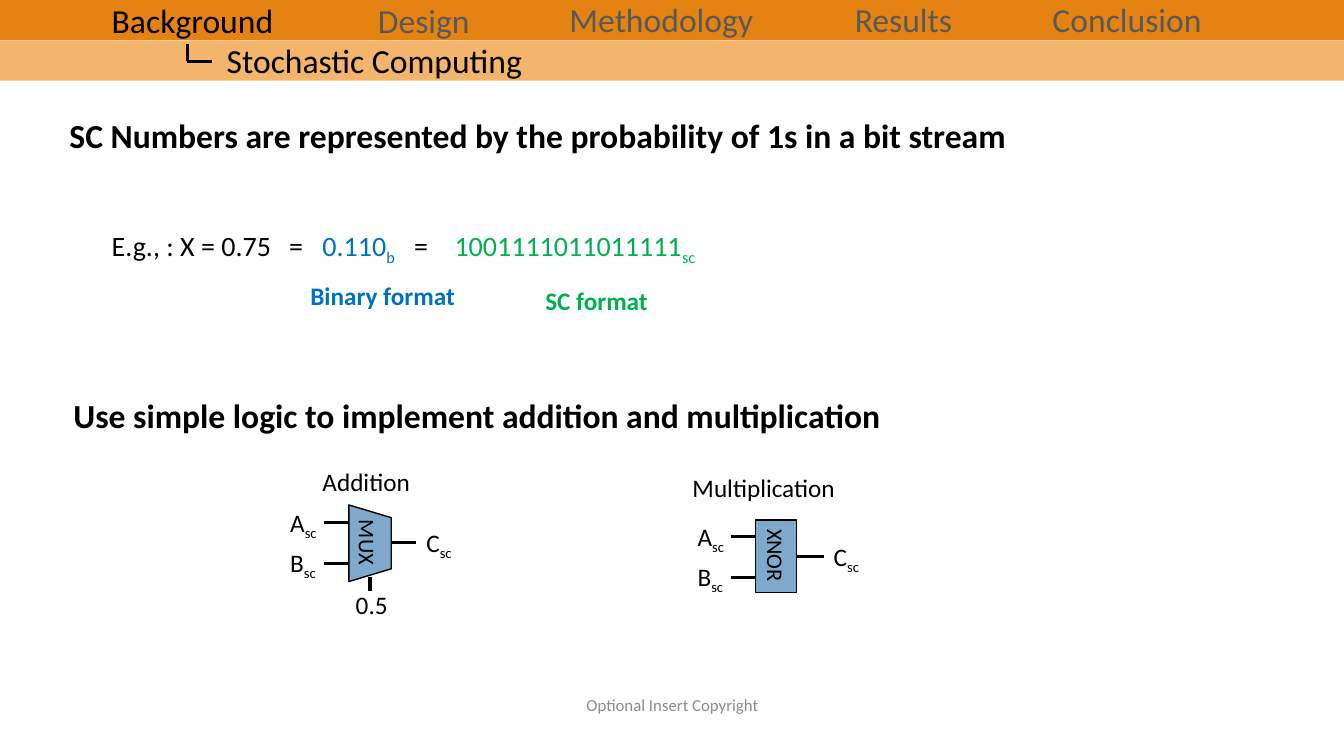
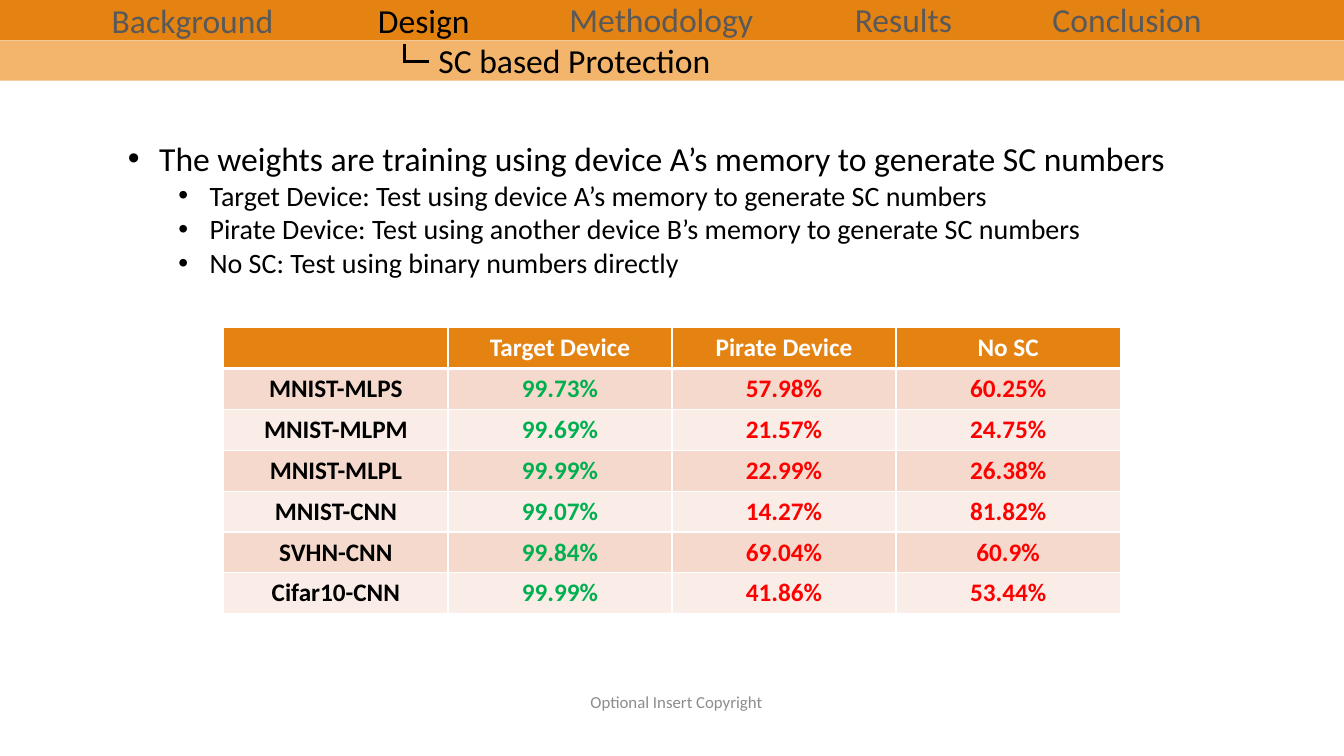
from lxml.etree import SubElement
from pptx import Presentation
from pptx.dml.color import RGBColor
from pptx.enum.shapes import MSO_CONNECTOR as CONN, MSO_SHAPE as SHAPE
from pptx.enum.text import MSO_ANCHOR as ANCHOR, PP_ALIGN as ALIGN
from pptx.oxml.ns import qn
from pptx.util import Inches, Pt

rgb = RGBColor.from_string
ORANGE, PALE_ORANGE, STEEL = "E48312", "F3B56C", "7EA9CA"
BLACK, WHITE, GREY, FOOTER_GREY = "000000", "FFFFFF", "595959", "8C8C8C"
BLUE, GREEN, RED = "0070C0", "00B050", "FF0000"
ROW_FILLS = ["FAEDE7", "F5D9CC"]
SUB = {"baseline": "-25000"}


def write(p, runs, **fmt):
    if isinstance(runs, str):
        runs = [(runs, {})]
    for words, extra in runs:
        r = p.add_run()
        r.text = words
        for key, value in {"name": "Calibri", "color": BLACK, **fmt, **extra}.items():
            if key == "color":
                r.font.color.rgb = rgb(value)
            elif key == "baseline":
                r._r.get_or_add_rPr().set(key, value)
            elif key == "size":
                r.font.size = Pt(value)
            else:
                setattr(r.font, key, value)


def text(s, box, runs, rotation=0, **fmt):
    sp = s.shapes.add_textbox(*map(Inches, box))
    sp.rotation = rotation
    sp.text_frame.word_wrap = False
    write(sp.text_frame.paragraphs[0], runs, **fmt)
    return sp


prs = Presentation()
prs.slide_width, prs.slide_height = Inches(13.33), Inches(7.5)

sections = [
    ("Background", 1.01, -0.05, 1.86),
    ("Design", 3.65, -0.05, 1.12),
    ("Methodology", 5.55, -0.06, 2.04),
    ("Results", 8.38, -0.06, 1.18),
    ("Conclusion", 10.34, -0.06, 1.69),
]
topics = [
    ("Background", "Stochastic Computing", 1.86, 2.15, 3.22, (4.42, 6.79)),
    ("Design", "SC based Protection", 4.01, 4.25, 2.93, (4.46, 6.76)),
]
lines = []
for current, topic, elbow_x, topic_x, topic_w, footer_at in topics:
    s = prs.slides.add_slide(prs.slide_layouts[6])
    for top, color in [(0, ORANGE), (0.4, PALE_ORANGE)]:
        band = s.shapes.add_shape(SHAPE.RECTANGLE, 0, Inches(top), prs.slide_width, Inches(0.4))
        band.shadow.inherit = False
        band.fill.solid()
        band.fill.fore_color.rgb = rgb(color)
        band.line.fill.background()
    for name, x, y, w in sections:
        text(s, (x, y, w, 0.5), name, size=24, color=BLACK if name == current else GREY)
    text(s, (topic_x, 0.35, topic_w, 0.5), topic, size=24)
    lines += [
        (s, elbow_x, 0.44, elbow_x, 0.61, None),
        (s, elbow_x - 0.01, 0.61, elbow_x + 0.24, 0.61, None),
    ]
    footer = text(s, (*footer_at, 4.5, 0.4), "Optional Insert Copyright", size=12, color=FOOTER_GREY)
    footer.text_frame.word_wrap = True
    footer.text_frame.vertical_anchor = ANCHOR.MIDDLE
    footer.text_frame.paragraphs[0].alignment = ALIGN.CENTER

s = prs.slides[0]
for box, words, fmt in [
    ((0.59, 1.09, 9.51, 0.5), "SC Numbers are represented by the probability of 1s in a bit stream",
     {"size": 24, "bold": True}),
    ((0.63, 3.87, 8.29, 0.5), "Use simple logic to implement addition and multiplication",
     {"size": 24, "bold": True}),
    ((2.98, 2.73, 1.65, 0.4), "Binary format", {"size": 18, "bold": True, "color": BLUE}),
    ((5.31, 2.78, 1.23, 0.4), "SC format", {"size": 18, "bold": True, "color": GREEN}),
    ((3.1, 4.58, 1.08, 0.4), "Addition", {"size": 18}),
    ((6.77, 4.64, 1.63, 0.4), "Multiplication", {"size": 18}),
    ((3.43, 5.8, 0.52, 0.4), "0.5", {"size": 18}),
]:
    text(s, box, words, **fmt)

example = text(s, (1.01, 2.22, 6.05, 0.44), [
    ("E.g., : X = 0.75\t=\t", {}),
    ("0.110", {"color": BLUE}),
    ("b", {"color": BLUE, **SUB}),
    ("\t=\t", {}),
    ("1001111011011111", {"color": GREEN}),
    ("sc", {"color": GREEN, **SUB}),
], size=20)
example.text_frame.word_wrap = True
tabs = SubElement(example.text_frame.paragraphs[0]._p.get_or_add_pPr(), qn("a:tabLst"))
for stop in (1.76, 2.09, 3.0, 3.4):
    SubElement(tabs, qn("a:tab"), pos=str(Inches(stop)), algn="l")

gates = [
    ("MUX", 2.78, 4.98, SHAPE.TRAPEZOID, (3.29, 5.18, 0.76, 0.42), 90, (3.32, 5.2, 0.65, 0.37)),
    ("XNOR", 6.82, 5.12, SHAPE.RECTANGLE, (7.49, 5.16, 0.41, 0.72), 0, (7.33, 5.33, 0.73, 0.37)),
]
for name, x, y, kind, box, rotation, label_box in gates:
    gate = s.shapes.add_shape(kind, *map(Inches, box))
    gate.rotation = rotation
    gate.shadow.inherit = False
    gate.fill.solid()
    gate.fill.fore_color.rgb = rgb(STEEL)
    gate.line.color.rgb = rgb(BLACK)
    gate.line.width = Pt(1)
    if kind == SHAPE.TRAPEZOID:
        gate.adjustments[0] = 0.3
    text(s, label_box, name, rotation=90, size=16)
    for letter, dx, dy in [("A", 0, 0), ("B", 0, 0.4), ("C", 1.35, 0.2)]:
        text(s, (x + dx, y + dy, 0.49, 0.4), [(letter, {}), ("sc", SUB)], size=18)
    source = gate if kind == SHAPE.RECTANGLE else None
    for x1, x2, dy, start in [(0.43, 0.68, 0.2, None), (0.43, 0.68, 0.61, None), (1.1, 1.35, 0.4, source)]:
        lines.append((s, x + x1, y + dy, x + x2, y + dy, start))
lines.append((s, 3.67, 5.72, 3.67, 5.86, None))

for s, x1, y1, x2, y2, start in lines:
    line = s.shapes.add_connector(CONN.STRAIGHT, *map(Inches, (x1, y1, x2, y2)))
    line.line.color.rgb = rgb(BLACK)
    line.line.width = Pt(2.25)
    SubElement(line._element.spPr, qn("a:effectLst"))
    if start is not None:
        line.begin_connect(start, 3)

s = prs.slides[1]
tf = s.shapes.add_textbox(*map(Inches, (1.17, 1.32, 10.59, 1.51))).text_frame
tf.word_wrap = False
bullets = [
    (0, "The weights are training using device A’s memory to generate SC numbers"),
    (1, "Target Device: Test using device A’s memory to generate SC numbers"),
    (1, "Pirate Device: Test using another device B’s memory to generate SC numbers"),
    (1, "No SC: Test using binary numbers directly"),
]
for i, (level, words) in enumerate(bullets):
    p = tf.add_paragraph() if i else tf.paragraphs[0]
    p.level = level
    pPr = p._p.get_or_add_pPr()
    pPr.set("marL", str(Inches(0.31 + 0.5 * level)))
    pPr.set("indent", str(Inches(-0.31)))
    SubElement(pPr, qn("a:buFont"), typeface="Arial")
    SubElement(pPr, qn("a:buChar"), char="•")
    write(p, words, size=20 if level else 24)

rows = [
    ("", "Target Device", "Pirate Device", "No SC"),
    ("MNIST-MLPS", "99.73%", "57.98%", "60.25%"),
    ("MNIST-MLPM", "99.69%", "21.57%", "24.75%"),
    ("MNIST-MLPL", "99.99%", "22.99%", "26.38%"),
    ("MNIST-CNN", "99.07%", "14.27%", "81.82%"),
    ("SVHN-CNN", "99.84%", "69.04%", "60.9%"),
    ("Cifar10-CNN", "99.99%", "41.86%", "53.44%"),
]
column_colors = [BLACK, GREEN, RED, RED]
table = s.shapes.add_table(len(rows), 4, *map(Inches, (2.22, 3.25, 8.89, 2.84))).table
for i, row in enumerate(rows):
    for j, words in enumerate(row):
        cell = table.cell(i, j)
        tcPr = cell._tc.get_or_add_tcPr()
        for side in "LRTB":
            thick = (i, side) in [(0, "B"), (1, "T")]
            ln = SubElement(tcPr, qn(f"a:ln{side}"), w=str(Pt(3 if thick else 1)))
            SubElement(SubElement(ln, qn("a:solidFill")), qn("a:srgbClr"), val=WHITE)
        cell.fill.solid()
        cell.fill.fore_color.rgb = rgb(ROW_FILLS[i % 2] if i else ORANGE)
        p = cell.text_frame.paragraphs[0]
        p.alignment = ALIGN.CENTER
        if words:
            write(p, words, size=18, bold=True, color=column_colors[j] if i else WHITE)

prs.save("out.pptx")
